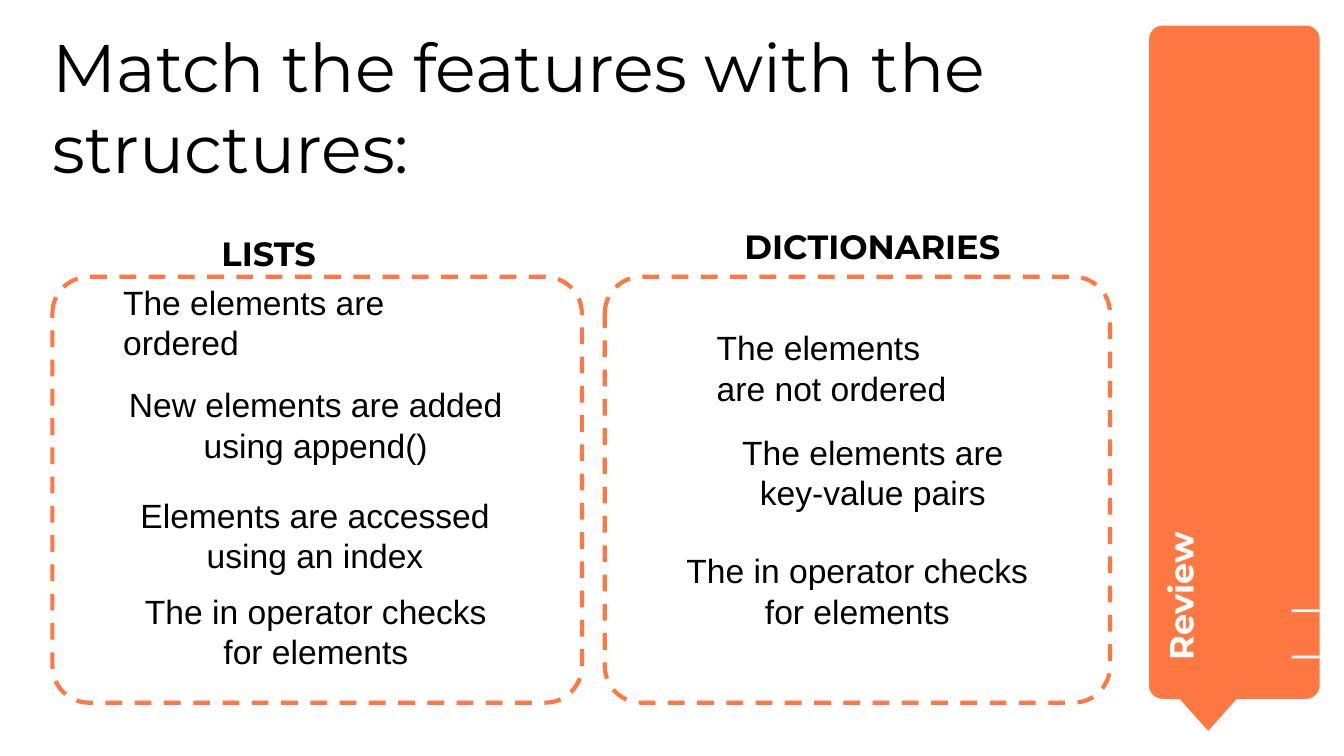
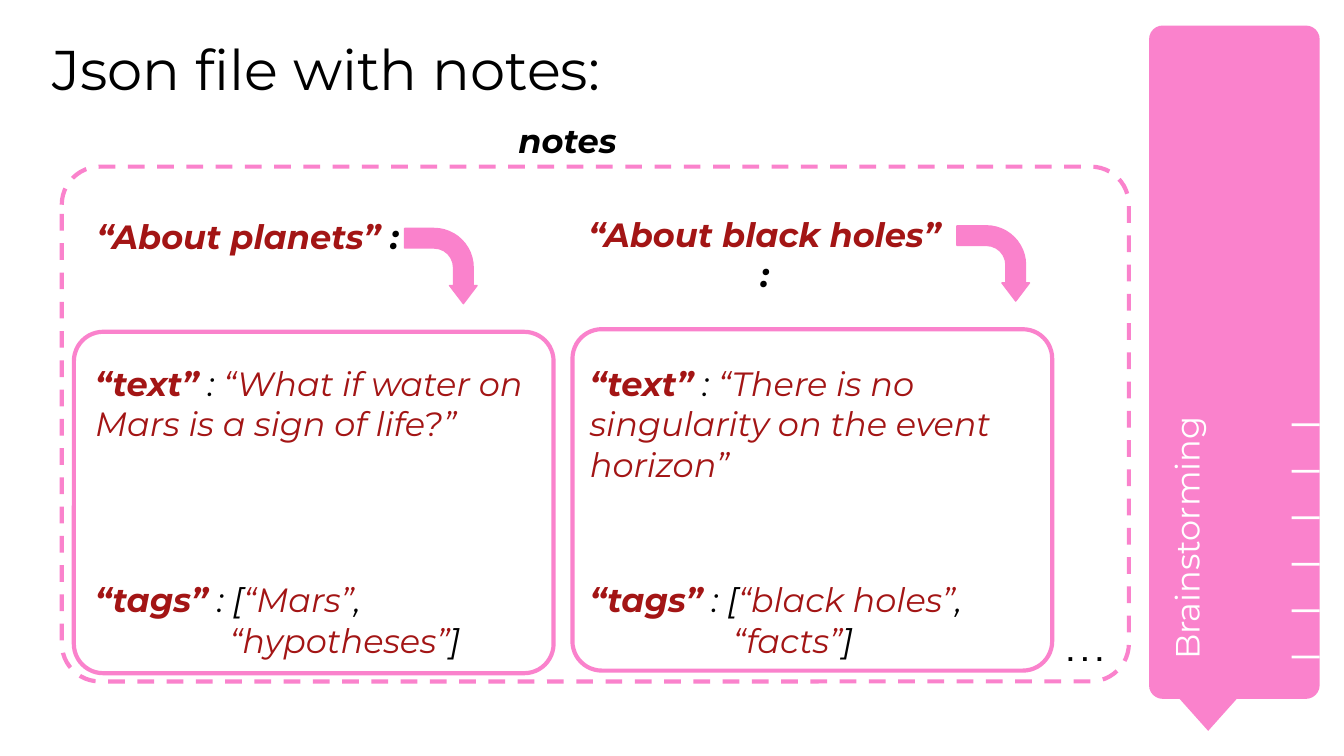
from lxml.etree import SubElement
from pptx import Presentation
from pptx.dml.color import RGBColor
from pptx.enum.dml import MSO_LINE
from pptx.enum.shapes import MSO_SHAPE
from pptx.enum.text import MSO_ANCHOR, PP_ALIGN
from pptx.util import Pt

ORANGE = RGBColor(0xFF, 0x78, 0x42)
PINK = RGBColor(0xFA, 0x82, 0xCC)
DARK_RED = RGBColor(0xA3, 0x15, 0x15)
WHITE = RGBColor(0xFF, 0xFF, 0xFF)
BLACK = RGBColor(0, 0, 0)
HEADING_FONT = "Montserrat"
BODY_FONT = "Arial"
INSET = 7.2
TICK_BOTTOM, TICK_PITCH = 351.3, 24.9


def add_shape(shapes, kind, box, fill=None, line=None, width=2.25, dashed=False, adjustments=()):
    """Add a flat preset shape; box is left, top, width, height."""
    shape = shapes.add_shape(kind, *map(Pt, box))
    shape.shadow.inherit = False
    for index, value in enumerate(adjustments):
        shape.adjustments[index] = value
    if fill is None:
        shape.fill.background()
    else:
        shape.fill.solid()
        shape.fill.fore_color.rgb = fill
    if line is None:
        shape.line.fill.background()
    else:
        shape.line.color.rgb = line
        shape.line.width = Pt(width)
        if dashed:
            shape.line.dash_style = MSO_LINE.DASH
    return shape


def set_frame(frame, inset=INSET, anchor=MSO_ANCHOR.TOP):
    """Make a text frame wrap, with equal insets on all sides."""
    frame.word_wrap = True
    frame.vertical_anchor = anchor
    frame.margin_left = frame.margin_right = Pt(inset)
    frame.margin_top = frame.margin_bottom = Pt(inset)
    return frame


def set_font(paragraph, size=18, name=HEADING_FONT, color=BLACK, bold=False, italic=False):
    """Set the font that a whole paragraph shares."""
    font = paragraph.font
    font.size, font.name, font.bold, font.italic = Pt(size), name, bold, italic
    font.color.rgb = color


def add_text(slide, box, text, inset=INSET, rotation=0, **font):
    """Add a text box with one uniform paragraph."""
    text_box = slide.shapes.add_textbox(*map(Pt, box))
    text_box.rotation = rotation
    paragraph = set_frame(text_box.text_frame, inset).paragraphs[0]
    paragraph.text = text
    set_font(paragraph, **font)


def add_code(slide, box, lines, key_bold=True, centered=False):
    """Add italic JSON lines, each a list of (text, color, bold) runs."""
    frame = set_frame(slide.shapes.add_textbox(*map(Pt, box)).text_frame)
    for number, runs in enumerate(lines):
        paragraph = frame.add_paragraph() if number else frame.paragraphs[0]
        paragraph.alignment = PP_ALIGN.CENTER if centered else PP_ALIGN.LEFT
        if number:
            properties = paragraph._p.get_or_add_pPr()
            properties.set("marL", str(Pt(36)))
            properties.set("indent", str(Pt(36)))
        set_font(paragraph, italic=True)
        for text, color, bold in runs:
            run = paragraph.add_run()
            run.text = text
            run.font.color.rgb = color
            run.font.bold = bold


def add_band(slide, color, tick_count):
    """Add the side band with its pointer and ruler ticks."""
    group = slide.shapes.add_group_shape()
    add_shape(group.shapes, MSO_SHAPE.ROUNDED_RECTANGLE, (615.6, 13.7, 91.4, 360.7), color,
              adjustments=[0.08])
    add_shape(group.shapes, MSO_SHAPE.FLOWCHART_MERGE, (623.5, 365, 47.5, 26.6), color)
    for index in range(tick_count):
        top = TICK_BOTTOM - index * TICK_PITCH
        add_shape(slide.shapes, MSO_SHAPE.RECTANGLE, (691.9, top, 15.1, 1.5), WHITE)


def add_panel(slide, box, color, radius, dashed=True, fill=None):
    """Add an outlined rounded panel."""
    add_shape(slide.shapes, MSO_SHAPE.ROUNDED_RECTANGLE, box, fill, color, dashed=dashed,
              adjustments=[radius])


def add_feature(slide, box, text, line=None, alignment=PP_ALIGN.CENTER):
    """Add a white box that holds one feature of a structure."""
    shape = add_shape(slide.shapes, MSO_SHAPE.ROUNDED_RECTANGLE, box, WHITE, line)
    paragraph = set_frame(shape.text_frame, anchor=MSO_ANCHOR.MIDDLE).paragraphs[0]
    paragraph.text = text
    paragraph.alignment = alignment
    set_font(paragraph, name=BODY_FONT)


def add_note(slide, card, heading_box, arrow, text_left, tags_width, title, text, tags):
    """Add one note: its key, an arrow and a card with text and tags."""
    add_panel(slide, (*card, 257, 182.9), PINK, 0.086, dashed=False, fill=WHITE)
    add_code(slide, heading_box, [[(title, DARK_RED, True), (" :", BLACK, True)]], centered=True)
    bent_arrow = add_shape(slide.shapes, MSO_SHAPE.BENT_ARROW, (*arrow, 40.3, 38.9), PINK, PINK,
                           0.75, adjustments=[0.27, 0.19, 0.25, 0.54])
    bent_arrow.rotation = 90
    add_code(slide, (text_left, 187.2, 252.7, 25.9),
             [[("“text”", DARK_RED, True), (" : ", BLACK, False), (text, DARK_RED, False)]])
    first_tag, indent, second_tag = tags
    add_code(slide, (text_left, 303.1, tags_width, 25.9), [
        [("“tags”", DARK_RED, True), (" : [", BLACK, False),
         (first_tag, DARK_RED, False), (",", BLACK, False)],
        [(indent + second_tag, DARK_RED, False), ("]", BLACK, False)],
    ])


def build_review(slide):
    """Build the slide that compares lists and dictionaries."""
    add_panel(slide, (324, 148.3, 270.7, 228.2), ORANGE, 0.086)
    add_panel(slide, (28.1, 148.3, 283.7, 228.2), ORANGE, 0.086)
    add_band(slide, ORANGE, 2)
    add_text(slide, (518.4, 198.7, 257.8, 66.2), "Review", rotation=270, color=WHITE, bold=True)
    add_text(slide, (28.1, 13.7, 558.7, 99.4), "Match the features with the structures:",
             inset=0, size=36)
    add_text(slide, (111.6, 117.4, 117.4, 27.4), "LISTS", bold=True)
    add_text(slide, (391.7, 113.8, 172.1, 27.4), "DICTIONARIES", bold=True)

    shared_feature = "The in operator checks for elements"
    add_feature(slide, (56.9, 152.6, 224.6, 40.3), "The elements are ordered", WHITE,
                PP_ALIGN.LEFT)
    add_feature(slide, (37.4, 203, 263.5, 49), "New elements are added using append()", WHITE)
    add_feature(slide, (61.9, 266.4, 213.8, 40.3), "Elements are accessed using an index", WHITE)
    add_feature(slide, (59.8, 312.5, 218.9, 51.1), shared_feature, WHITE)
    add_feature(slide, (374.4, 171.4, 153.4, 51.1), "The elements are not ordered",
                alignment=PP_ALIGN.LEFT)
    add_feature(slide, (370.8, 227.5, 193.7, 51.1), "The elements are key-value pairs")
    add_feature(slide, (349.9, 290.9, 218.9, 51.1), shared_feature)


def build_brainstorming(slide):
    """Build the slide that shows the structure of the notes file."""
    add_panel(slide, (33.1, 89.3, 571.7, 275.8), PINK, 0.074, fill=WHITE)
    add_band(slide, PINK, 6)
    add_text(slide, (514.1, 208.8, 254.9, 48.2), "Brainstorming", rotation=270, color=WHITE)
    add_text(slide, (28.1, 18.7, 571.7, 49.7), "Json file with notes:", inset=0, size=30)
    add_text(slide, (270.7, 56.9, 199.4, 25.9), "notes", bold=True, italic=True)
    add_note(slide, (39.6, 177.8), (43.9, 108.7, 177.8, 38.2), (216, 123.1), 43.9, 231.8,
             "“About planets”", "“What if water on Mars is a sign of life?”",
             ("“Mars”", "", "“hypotheses”"))
    add_note(slide, (306.7, 176.4), (306.7, 107.3, 205.9, 38.2), (511.9, 121.7), 308.9, 248.4,
             "“About black holes”", "“There is no singularity on the event horizon”",
             ("“black holes”", " ", "“facts”"))
    add_text(slide, (564.5, 333.4, 38.9, 25.9), ". . .", size=14, name=BODY_FONT, bold=True)


def main():
    """Build and save the presentation."""
    presentation = Presentation()
    presentation.slide_width, presentation.slide_height = Pt(720), Pt(405)
    blank_layout = presentation.slide_layouts[6]
    for build in (build_review, build_brainstorming):
        build(presentation.slides.add_slide(blank_layout))
    presentation.save("out.pptx")


if __name__ == "__main__":
    main()
